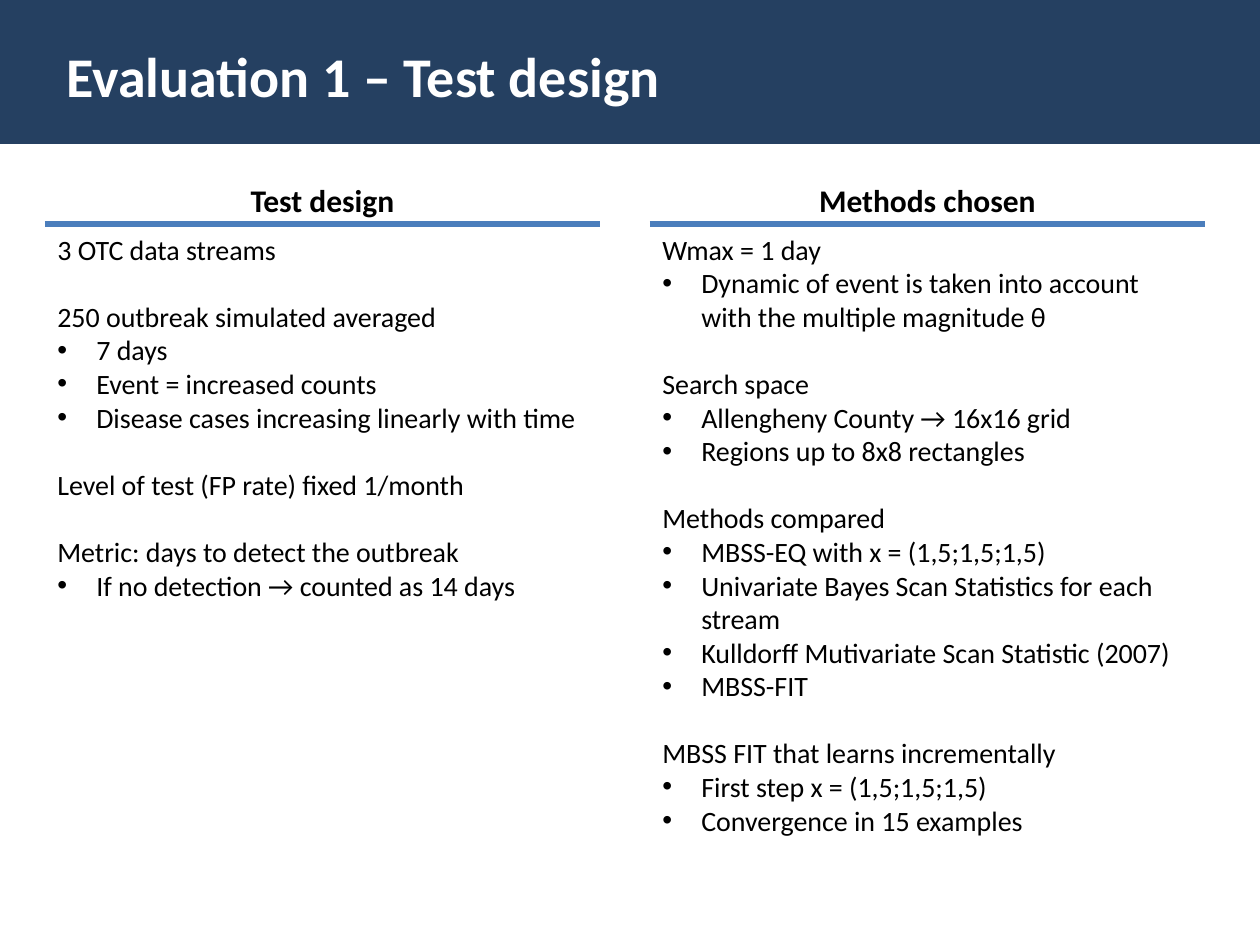
from pptx import Presentation, util as u
from pptx.dml.color import RGBColor
from pptx.enum import shapes, text
from pptx.oxml.ns import qn
from lxml import etree

TITLE = "Evaluation 1 – Test design"
COLUMNS = [
    ("Test design", 420, [
        ("3 OTC data streams", []),
        ("250 outbreak simulated averaged", [
            "7 days",
            "Event = increased counts",
            "Disease cases increasing linearly with time"]),
        ("Level of test (FP rate) fixed 1/month", []),
        ("Metric: days to detect the outbreak", [
            "If no detection → counted as 14 days"]),
    ]),
    ("Methods chosen", 624, [
        ("Wmax = 1 day", [
            "Dynamic of event is taken into account with the multiple magnitude θ"]),
        ("Search space", [
            "Allengheny County → 16x16 grid",
            "Regions up to 8x8 rectangles"]),
        ("Methods compared", [
            "MBSS-EQ with x = (1,5;1,5;1,5)",
            "Univariate Bayes Scan Statistics for each stream",
            "Kulldorff Mutivariate Scan Statistic (2007)",
            "MBSS-FIT"]),
        ("MBSS FIT that learns incrementally", [
            "First step x = (1,5;1,5;1,5)",
            "Convergence in 15 examples"]),
    ]),
]
NAVY, BLUE, WHITE, BLACK = "254061", "4B7EBC", "FFFFFF", "000000"
LEFT, COL_W, PITCH = 45, 555, 605
HEAD_Y, HEAD_H, RULE_Y, BODY_Y = 175, 50, 224, 226
INDENT, GROUP_GAP = 39, 19.2
HEAD = {"size": u.Pt(18), "bold": True}
BODY = {"size": u.Pt(16), "bold": False}


def px(n):
    return u.Emu(round(n * 914400 / 126))


def rgb(value):
    return RGBColor.from_string(value)


def write(p, content, fmt, color=BLACK):
    r = p.add_run()
    r.text = content
    for key, value in {"name": "Calibri", **fmt}.items():
        setattr(r.font, key, value)
    r.font.color.rgb = rgb(color)


def add_text(s, *box):
    tf = s.shapes.add_textbox(*map(px, box)).text_frame
    tf.word_wrap = True
    return tf


def add_bullet(p):
    pPr = p._p.get_or_add_pPr()
    pPr.set("marL", str(px(INDENT)))
    pPr.set("indent", str(-px(INDENT)))
    etree.SubElement(pPr, qn("a:buFont")).set("typeface", "Arial")
    etree.SubElement(pPr, qn("a:buChar")).set("char", "•")


def add_title(s):
    banner = s.shapes.add_shape(shapes.MSO_SHAPE.RECTANGLE, *map(px, (0, -1, 1260, 145)))
    banner.shadow.inherit = False
    banner.line.fill.background()
    sp = s.shapes.title
    sp.left, sp.top, sp.width, sp.height = map(px, (54, 35, 1150, 81))
    for shape in (banner, sp):
        shape.fill.solid()
        shape.fill.fore_color.rgb = rgb(NAVY)
    sp._element.addprevious(banner._element)
    tf = sp.text_frame
    tf.auto_size = text.MSO_AUTO_SIZE.NONE
    tf.vertical_anchor = text.MSO_ANCHOR.MIDDLE
    p = tf.paragraphs[0]
    p.alignment = text.PP_ALIGN.LEFT
    write(p, TITLE, {"size": u.Pt(32), "bold": True}, WHITE)


def add_column(s, x, heading, height, groups):
    p = add_text(s, x, HEAD_Y, COL_W, HEAD_H).paragraphs[0]
    p.alignment = text.PP_ALIGN.CENTER
    write(p, heading, HEAD)

    rule = s.shapes.add_connector(shapes.MSO_CONNECTOR.STRAIGHT,
                                  *map(px, (x, RULE_Y, x + COL_W, RULE_Y)))
    rule.line.color.rgb = rgb(BLUE)
    rule.line.width = u.Pt(3)
    etree.SubElement(rule._element.spPr, qn("a:effectLst"))

    tf = add_text(s, x, BODY_Y, COL_W, height)
    for i, (lead, bullets) in enumerate(groups):
        p = tf.add_paragraph() if i else tf.paragraphs[0]
        if i:
            p.space_before = u.Pt(GROUP_GAP)
        write(p, lead, BODY)
        for bullet in bullets:
            p = tf.add_paragraph()
            add_bullet(p)
            write(p, bullet, BODY)


def main():
    prs = Presentation()
    prs.slide_width, prs.slide_height = px(1260), px(945)
    s = prs.slides.add_slide(prs.slide_layouts[5])
    add_title(s)
    for i, column in enumerate(COLUMNS):
        add_column(s, LEFT + i * PITCH, *column)
    prs.save("out.pptx")


if __name__ == "__main__":
    main()
